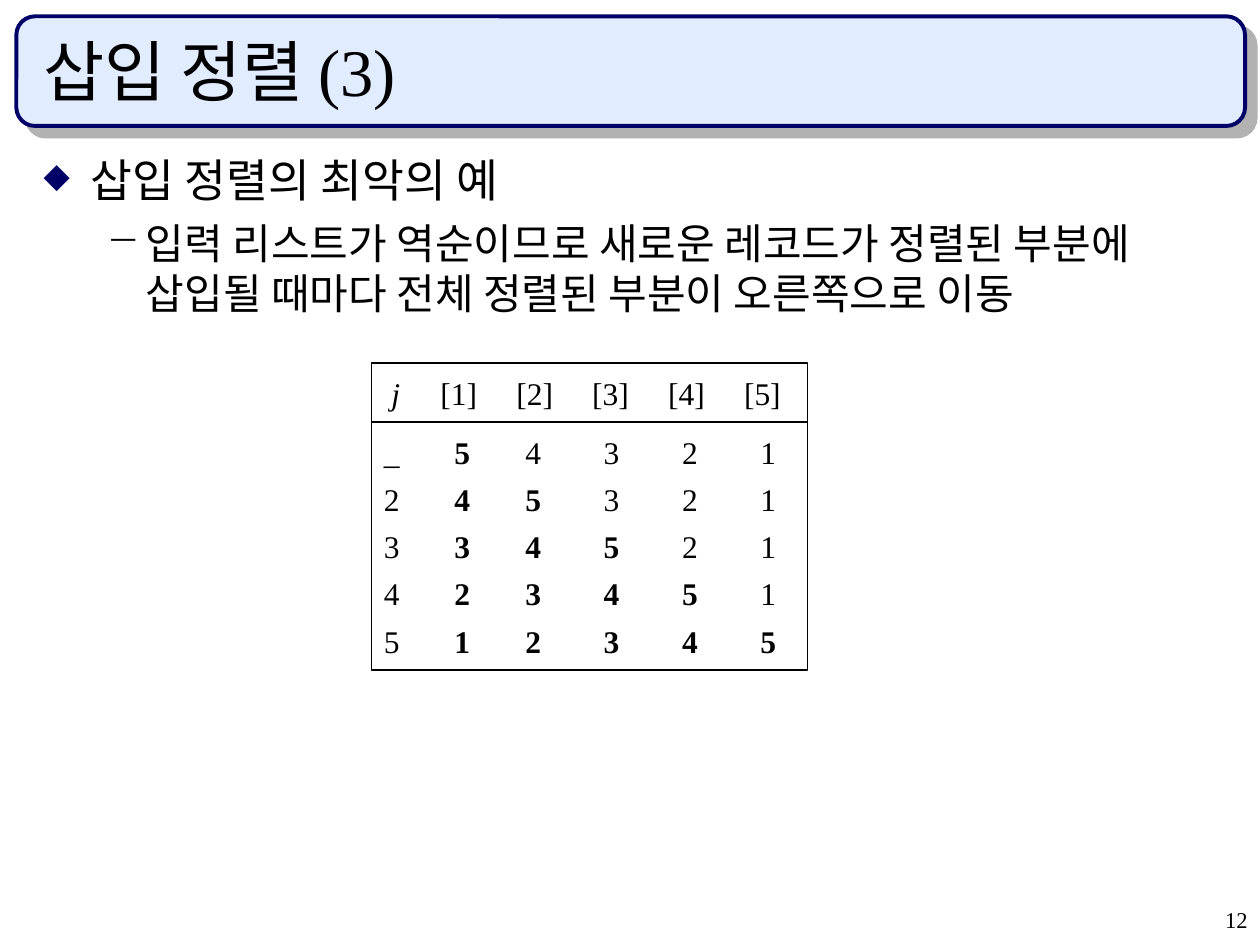
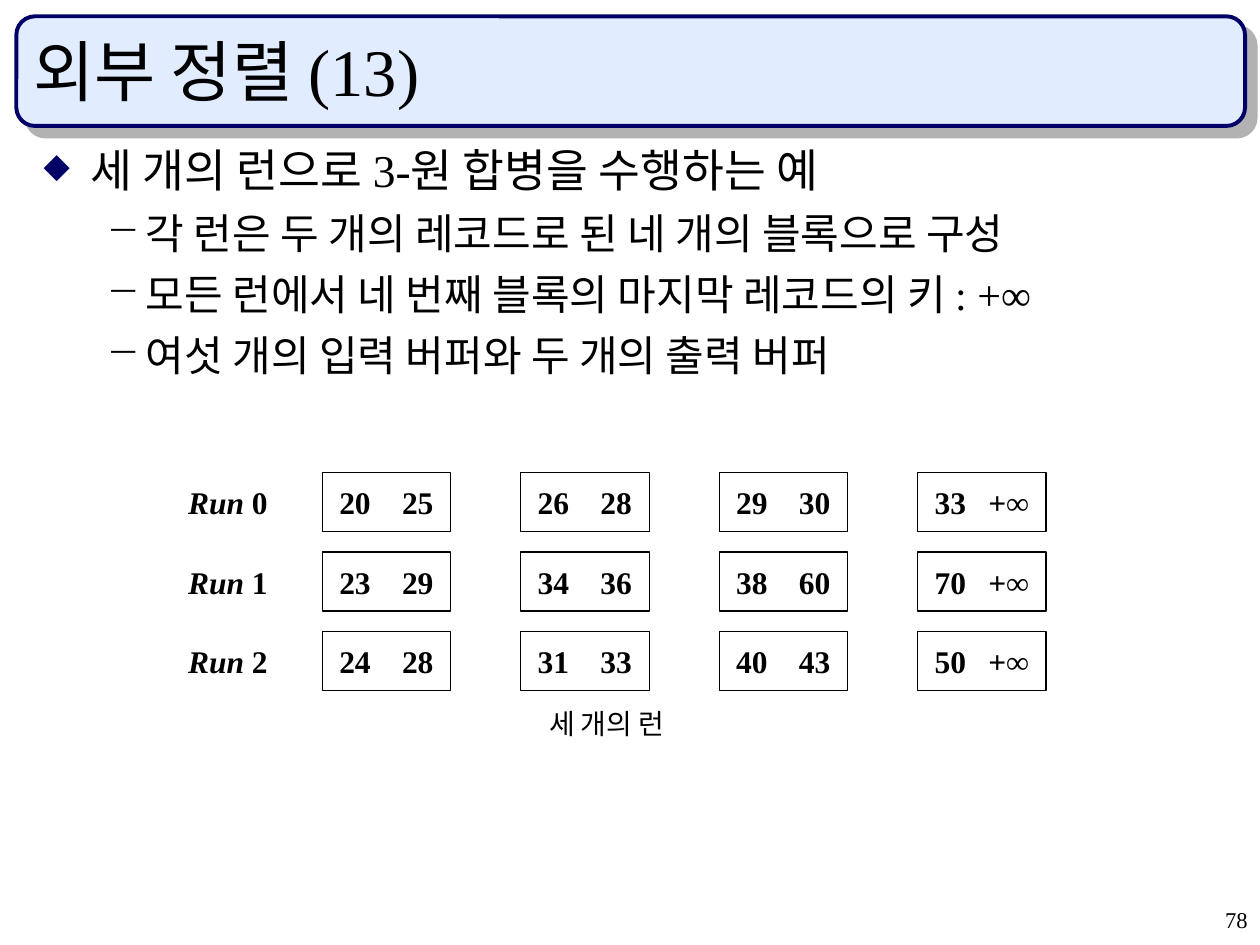
from lxml.etree import SubElement
from pptx import Presentation
from pptx.dml.color import RGBColor
from pptx.enum.shapes import MSO_SHAPE
from pptx.enum.text import MSO_ANCHOR, PP_ALIGN
from pptx.oxml.ns import qn
from pptx.util import Cm, Pt

FONT = "Times New Roman"
BLACK = "000000"
NAVY = "000066"
PALE_BLUE = "E1ECFF"
SHADOW_GREY = "B2B2B2"
BULLETS = [
    {"size": 26, "before": 6.5, "margin": 0.95, "hang": 0.95, "mark": "◆", "color": NAVY, "scale": 75},
    {"size": 24, "before": 6, "margin": 2.06, "hang": 0.79, "mark": "−", "color": BLACK, "scale": 100},
]


def color(value):
    return RGBColor.from_string(value)


def add_xml(parent, tag, **attributes):
    return SubElement(parent, qn(tag), {name: str(value) for name, value in attributes.items()})


class SlideWriter:
    def __init__(self):
        self.deck = Presentation()
        self.deck.slide_width, self.deck.slide_height = Cm(25.4), Cm(19.05)
        self.page = None

    def new_page(self, title, number, title_left):
        self.page = self.deck.slides.add_slide(self.deck.slide_layouts[6])
        self.title_band()
        footer = self.text_box(20.12, 18.21, 5.28, 0.84)
        para = self.paragraph(footer, [(number, "")], size=12.9, align=PP_ALIGN.RIGHT)
        para.line_spacing = 0.9
        heading = self.text_box(title_left, 0.63, 23.93, 1.7, MSO_ANCHOR.BOTTOM)
        self.paragraph(heading, [(title, "")], size=38)

    def shape(self, kind, left, top, width, height, line, line_width):
        shape = self.page.shapes.add_shape(kind, Cm(left), Cm(top), Cm(width), Cm(height))
        shape.shadow.inherit = False
        shape.fill.background()
        shape.line.color.rgb = color(line)
        shape.line.width = Pt(line_width)
        return shape

    def title_band(self):
        band = self.shape(MSO_SHAPE.ROUNDED_RECTANGLE, 0.33, 0.33, 24.77, 2.21, NAVY, 2.25)
        band.adjustments[0] = 0.17
        band.fill.solid()
        band.fill.fore_color.rgb = color(PALE_BLUE)
        effects = band.element.spPr.find(qn("a:effectLst"))
        shadow = add_xml(effects, "a:outerShdw", dist=Pt(8.5), dir=45 * 60000, algn="ctr", rotWithShape=0)
        add_xml(shadow, "a:srgbClr", val=SHADOW_GREY)

    def text_box(self, left, top, width, height, anchor=MSO_ANCHOR.TOP):
        box = self.page.shapes.add_textbox(Cm(left), Cm(top), Cm(width), Cm(height))
        box.text_frame.word_wrap = True
        box.text_frame.vertical_anchor = anchor
        return box

    def frame(self, left, top, width, height, inset=0.25):
        box = self.shape(MSO_SHAPE.RECTANGLE, left, top, width, height, BLACK, 0.75)
        box.text_frame.word_wrap = True
        box.text_frame.vertical_anchor = MSO_ANCHOR.MIDDLE
        box.text_frame.margin_left = Cm(inset)
        return box

    def paragraph(self, box, runs, size=18, align=PP_ALIGN.LEFT, before=0, tabs=(), tab_align="ctr", bullet=None):
        text = box.text_frame
        first = not text.paragraphs[0].runs
        para = text.paragraphs[0] if first else text.add_paragraph()
        para.alignment = align
        if not first:
            para.space_before = Pt(before)
        properties = para._p.get_or_add_pPr()
        if bullet:
            properties.set("marL", str(Cm(bullet["margin"])))
            properties.set("indent", str(-Cm(bullet["hang"])))
            add_xml(add_xml(properties, "a:buClr"), "a:srgbClr", val=bullet["color"])
            add_xml(properties, "a:buSzPct", val=bullet["scale"] * 1000)
            add_xml(properties, "a:buChar", char=bullet["mark"])
        if tabs:
            stops = add_xml(properties, "a:tabLst")
            for stop in tabs:
                add_xml(stops, "a:tab", pos=Cm(stop), algn=tab_align)
        for words, style in runs:
            span = para.add_run()
            span.text = words
            span.font.name = FONT
            span.font.size = Pt(size)
            span.font.bold = "b" in style
            span.font.italic = "i" in style
            span.font.color.rgb = color(BLACK)
        return para

    def outline(self, top, height, items):
        box = self.text_box(0.63, top, 24.2, height)
        for level, words in items:
            bullet = BULLETS[level]
            para = self.paragraph(box, [(words, "")], bullet["size"], before=bullet["before"], bullet=bullet)
            para.level = level

    def sort_trace(self, keys):
        left, top, width, header_height = 7.49, 7.32, 8.79, 1.19
        header = self.frame(left, top, width, header_height, inset=0.4)
        columns = "".join(f"\t[{index}]" for index in range(1, len(keys) + 1))
        header_tabs = [1.36 + 1.53 * index for index in range(len(keys))]
        self.paragraph(header, [("j", "i"), (columns, "")], tabs=header_tabs)

        body = self.frame(left, top + header_height, width, 5)
        body_tabs = [1.58] + [3.01 + 1.58 * index for index in range(len(keys) - 1)]
        for step in range(1, len(keys) + 1):
            done = "".join(f"\t{key}" for key in sorted(keys[:step]))
            waiting = "".join(f"\t{key}" for key in keys[step:])
            runs = [("_" if step == 1 else str(step), ""), (done, "b")]
            if waiting:
                runs.append((waiting, ""))
            self.paragraph(body, runs, before=5.4, tabs=body_tabs)

    def merge_runs(self, runs):
        for row, blocks in enumerate(runs):
            top = 9.53 + 1.6 * row
            label = self.text_box(3.3, top, 2.59, 1.19, MSO_ANCHOR.MIDDLE)
            self.paragraph(label, [("Run", "bi"), (f" {row}", "b")], align=PP_ALIGN.CENTER)
            for column, pair in enumerate(blocks):
                block = self.frame(6.5 + 4 * column, top, 2.59, 1.19, inset=0.34)
                self.paragraph(block, [("\t".join(pair), "b")], tabs=[1.9], tab_align="r")

    def caption(self, words):
        box = self.text_box(10.82, 14.12, 4.8, 0.94)
        self.paragraph(box, [(words, "")], size=16)


def main():
    writer = SlideWriter()

    writer.new_page("삽입 정렬 (3)", "12", 0.63)
    writer.outline(2.95, 3.96, [
        (0, "삽입 정렬의 최악의 예"),
        (1, "입력 리스트가 역순이므로 새로운 레코드가 정렬된 부분에 삽입될 때마다 전체 정렬된 부분이 오른쪽으로 이동"),
    ])
    writer.sort_trace([5, 4, 3, 2, 1])

    writer.new_page("외부 정렬 (13)", "78", 0.43)
    writer.outline(2.74, 5.56, [
        (0, "세 개의 런으로 3-원 합병을 수행하는 예"),
        (1, "각 런은 두 개의 레코드로 된 네 개의 블록으로 구성"),
        (1, "모든 런에서 네 번째 블록의 마지막 레코드의 키 : +∞"),
        (1, "여섯 개의 입력 버퍼와 두 개의 출력 버퍼"),
    ])
    writer.merge_runs([
        [("20", "25"), ("26", "28"), ("29", "30"), ("33", "+∞")],
        [("23", "29"), ("34", "36"), ("38", "60"), ("70", "+∞")],
        [("24", "28"), ("31", "33"), ("40", "43"), ("50", "+∞")],
    ])
    writer.caption("세 개의 런")

    writer.deck.save("out.pptx")


if __name__ == "__main__":
    main()
